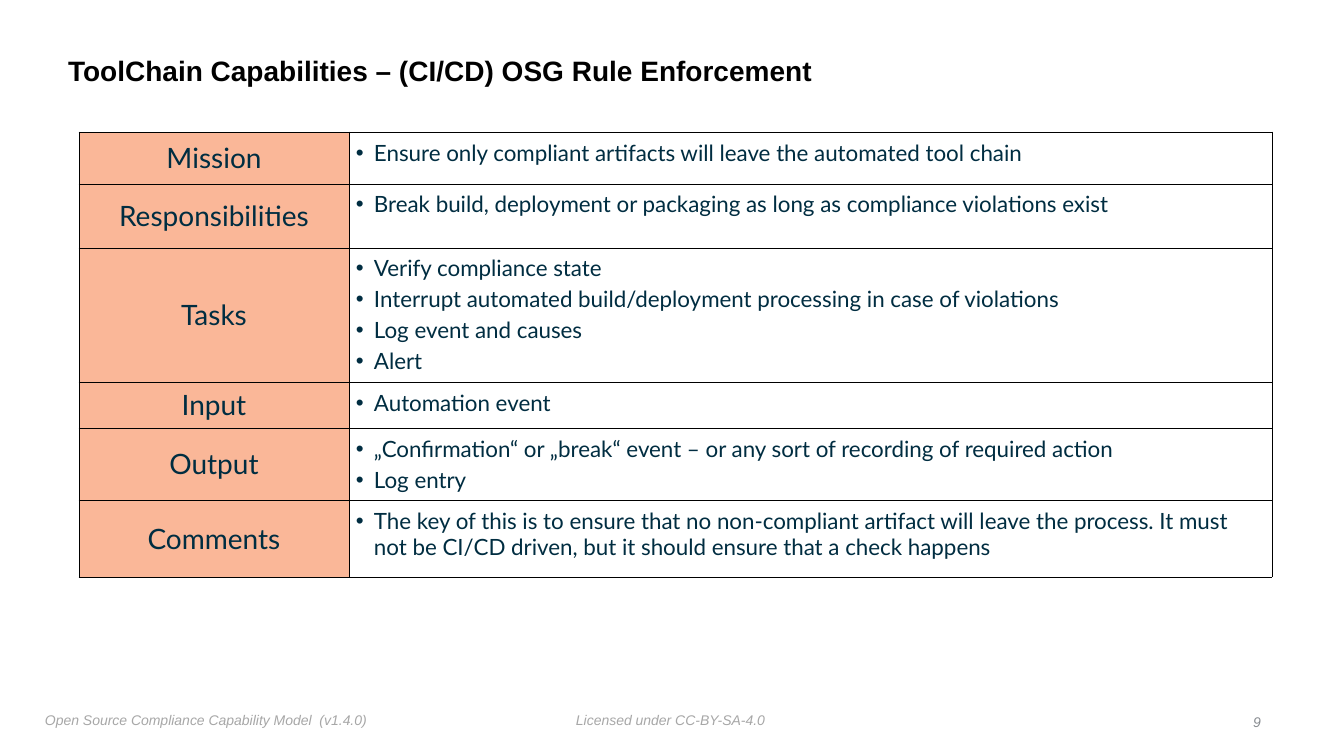
from lxml import etree
from pptx import Presentation
from pptx.dml.color import RGBColor
from pptx.enum.text import MSO_ANCHOR, MSO_AUTO_SIZE, PP_ALIGN
from pptx.oxml.ns import qn
from pptx.util import Pt

EMU_PER_PX = 914400 / 100.8
TOP, MIDDLE = MSO_ANCHOR.TOP, MSO_ANCHOR.MIDDLE
LEFT, CENTER, RIGHT = PP_ALIGN.LEFT, PP_ALIGN.CENTER, PP_ALIGN.RIGHT
FIT_SHAPE = MSO_AUTO_SIZE.SHAPE_TO_FIT_TEXT

CAPABILITY = [
    ("Mission", 52, ["Ensure only compliant artifacts will leave the automated tool chain"]),
    ("Responsibilities", 64,
     ["Break build, deployment or packaging as long as compliance violations exist"]),
    ("Tasks", 134, [
        "Verify compliance state",
        "Interrupt automated build/deployment processing in case of violations",
        "Log event and causes",
        "Alert",
    ]),
    ("Input", 46, ["Automation event"]),
    ("Output", 71, [
        "„Confirmation“ or „break“ event – or any sort of recording of required action",
        "Log entry",
    ]),
    ("Comments", 77, [
        "The key of this is to ensure that no non-compliant artifact will leave the process. "
        "It must not be CI/CD driven, but it should ensure that a check happens",
    ]),
]


def px(length):
    return round(length * EMU_PER_PX)


def color(hex_string):
    return RGBColor.from_string(hex_string)


class SlideBuilder:
    """Holds the style and the current slide, and adds elements to it."""

    heading_font, body_font = "Arial", "Lato"
    title_color, body_color, footer_color = "000000", "002D41", "A7A7A7"
    label_fill, border_color = "FAB798", "000000"
    box_inset, cell_inset, bullet_indent = 5, 7, 18

    def __init__(self, slide):
        self.slide = slide

    def set_font(self, paragraph, name, size, hex_color, bold=False, italic=False):
        font = paragraph.font
        font.name, font.size = name, Pt(size)
        font.bold, font.italic = bold, italic
        font.color.rgb = color(hex_color)

    def add_box(self, text, left, top, width, height, anchor, wrap):
        shape = self.slide.shapes.add_textbox(px(left), px(top), px(width), px(height))
        frame = shape.text_frame
        frame.margin_left = frame.margin_right = px(self.box_inset)
        frame.margin_top = frame.margin_bottom = px(self.box_inset)
        frame.vertical_anchor, frame.word_wrap = anchor, wrap
        if not wrap:
            frame.auto_size = FIT_SHAPE
        paragraph = frame.paragraphs[0]
        paragraph.text = text
        return paragraph

    def add_title(self, text, left, top, width, height):
        paragraph = self.add_box(text, left, top, width, height, MIDDLE, True)
        paragraph.line_spacing = 0.9
        self.set_font(paragraph, self.heading_font, 20, self.title_color, bold=True)

    def add_footer(self, text, left, top, width, height,
                   hex_color=footer_color, align=LEFT, anchor=TOP):
        paragraph = self.add_box(text, left, top, width, height, anchor, False)
        paragraph.alignment = align
        self.set_font(paragraph, self.heading_font, 10, hex_color, italic=True)

    def style_cell(self, cell, inset, anchor):
        cell.margin_left = cell.margin_right = px(inset)
        cell.margin_top = cell.margin_bottom = px(inset)
        cell.vertical_anchor = anchor
        properties = cell._tc.get_or_add_tcPr()
        for side in ("lnL", "lnR", "lnT", "lnB"):
            line = etree.SubElement(properties, qn(f"a:{side}"), w=str(Pt(0.5)))
            fill = etree.SubElement(line, qn("a:solidFill"))
            etree.SubElement(fill, qn("a:srgbClr"), val=self.border_color)

    def fill_label(self, cell, label):
        self.style_cell(cell, 0, MIDDLE)
        cell.fill.solid()
        cell.fill.fore_color.rgb = color(self.label_fill)
        paragraph = cell.text_frame.paragraphs[0]
        paragraph.text = label
        paragraph.alignment = CENTER
        self.set_font(paragraph, self.body_font, 20, self.body_color)

    def fill_bullets(self, cell, items):
        self.style_cell(cell, self.cell_inset, TOP)
        cell.fill.background()
        frame = cell.text_frame
        frame.text = "\n".join(items)
        for index, paragraph in enumerate(frame.paragraphs):
            properties = paragraph._p.get_or_add_pPr()
            properties.set("marL", str(px(self.bullet_indent)))
            properties.set("indent", str(-px(self.bullet_indent)))
            etree.SubElement(properties, qn("a:buFont"), typeface="Arial")
            etree.SubElement(properties, qn("a:buChar"), char="•")
            if index:
                paragraph.space_before = Pt(3)
            self.set_font(paragraph, self.body_font, 16, self.body_color)

    def add_capability_table(self, entries, left, top, widths):
        height = sum(row_height for _, row_height, _ in entries)
        table = self.slide.shapes.add_table(
            len(entries), len(widths), px(left), px(top), px(sum(widths)), px(height)).table
        table.first_row = table.horz_banding = False
        for column, width in zip(table.columns, widths):
            column.width = px(width)
        for row, (label, row_height, items) in zip(table.rows, entries):
            row.height = px(row_height)
            self.fill_label(row.cells[0], label)
            self.fill_bullets(row.cells[1], items)


def main():
    presentation = Presentation()
    presentation.slide_width, presentation.slide_height = px(1344), px(756)
    builder = SlideBuilder(presentation.slides.add_slide(presentation.slide_layouts[6]))
    builder.add_footer("Licensed under CC-BY-SA-4.0", 571, 707, 200, 25)
    builder.add_footer("Open Source Compliance Capability Model  (v1.4.0)", 40, 707, 334, 27)
    builder.add_title("ToolChain Capabilities – (CI/CD) OSG Rule Enforcement", 63, 39, 1084, 66)
    builder.add_capability_table(CAPABILITY, 79, 132, [270, 923])
    builder.add_footer("9", 1247, 709, 19, 25, "888C91", RIGHT, MIDDLE)
    presentation.save("out.pptx")


if __name__ == "__main__":
    main()
